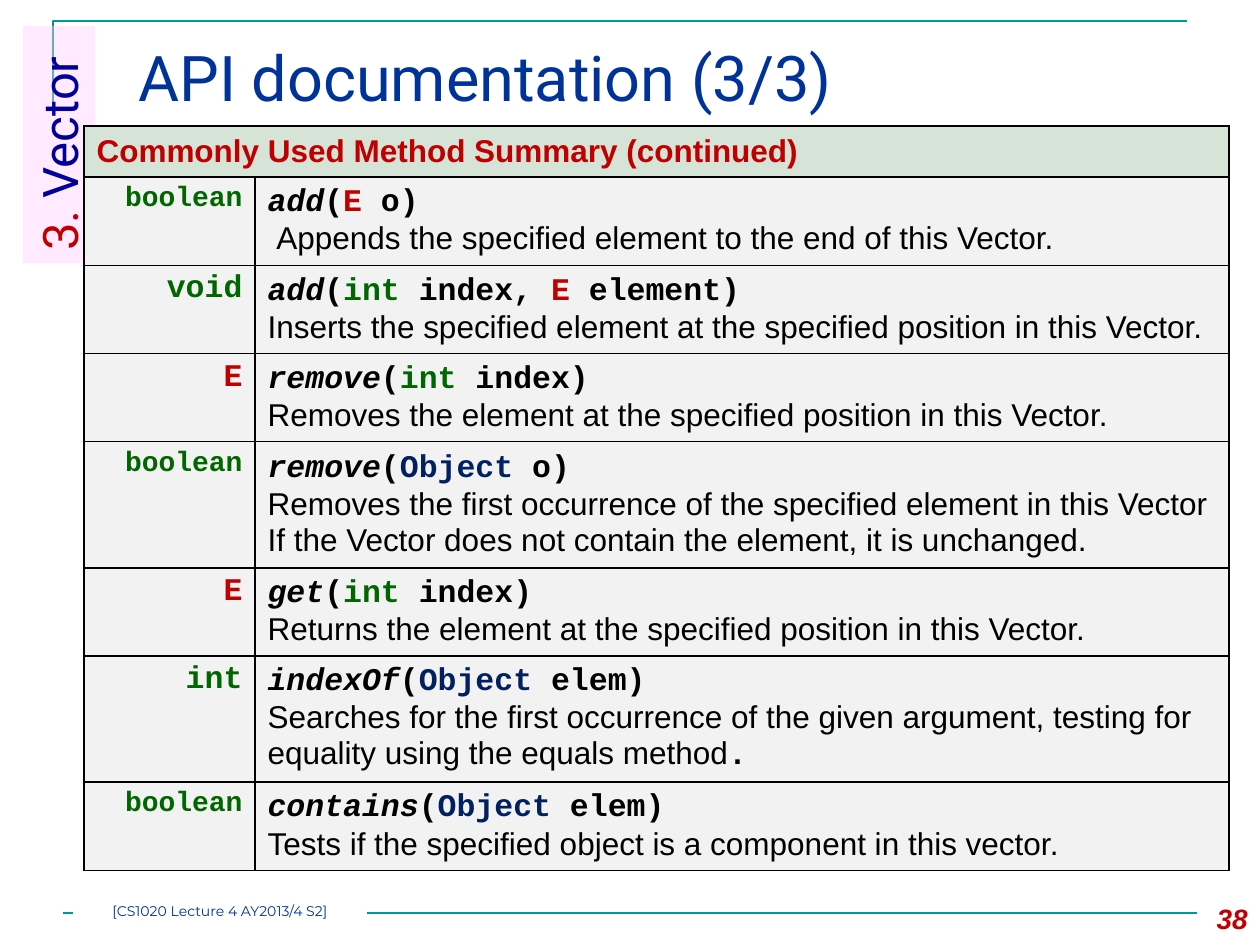
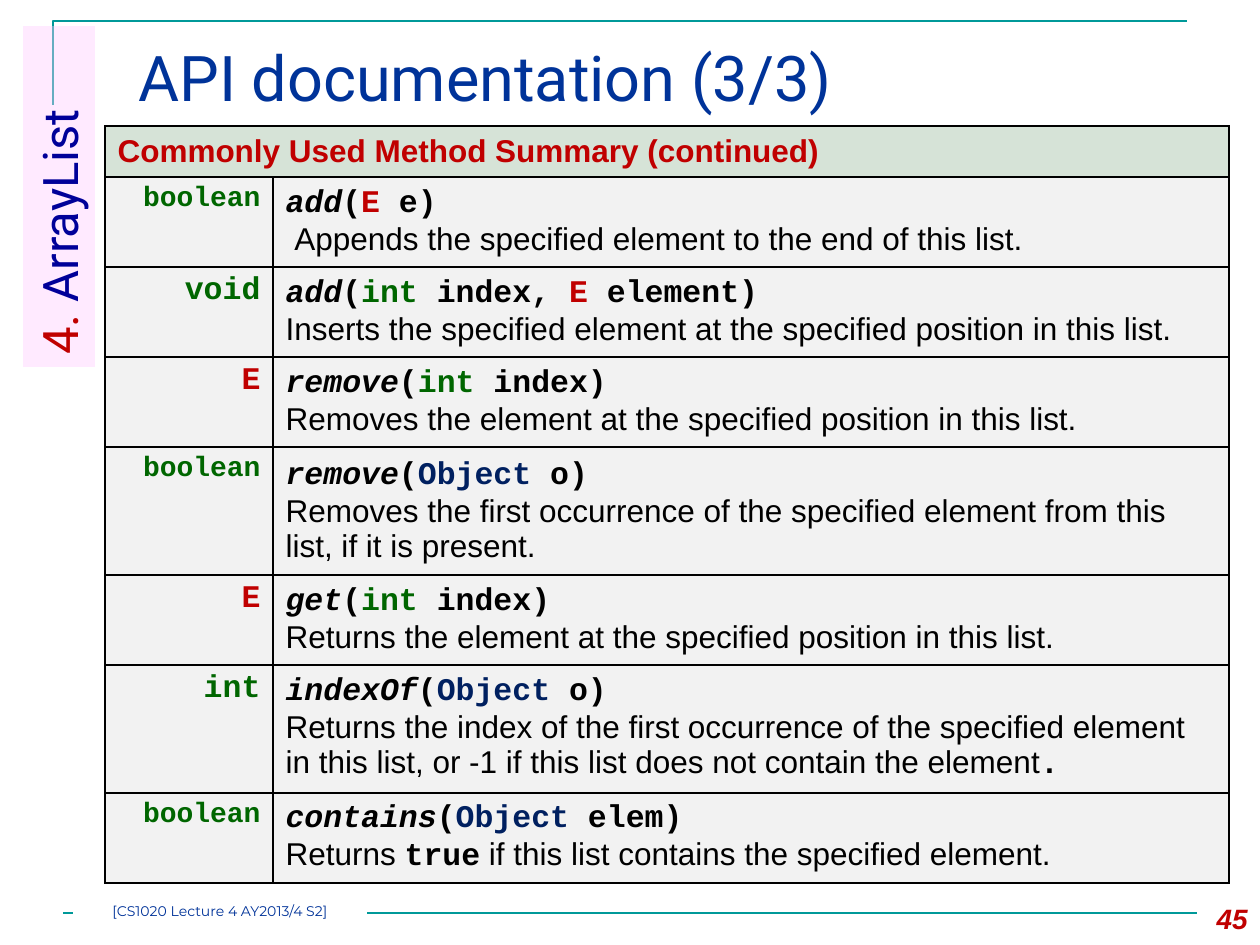
"""Build two API documentation slides with method summary tables."""
from lxml import etree
from pptx import Presentation
from pptx.dml.color import RGBColor
from pptx.enum.shapes import MSO_CONNECTOR, MSO_SHAPE
from pptx.enum.text import MSO_ANCHOR, PP_ALIGN
from pptx.oxml.ns import qn
from pptx.util import Pt

PX = 914400 / 126
RECTANGLE, STRAIGHT = MSO_SHAPE.RECTANGLE, MSO_CONNECTOR.STRAIGHT
TOP, MIDDLE = MSO_ANCHOR.TOP, MSO_ANCHOR.MIDDLE
LEFT, CENTER, RIGHT = PP_ALIGN.LEFT, PP_ALIGN.CENTER, PP_ALIGN.RIGHT
COLORS = {
    "teal": "009999", "blue": "003399", "red": "C00000", "navy": "000099",
    "green": "006600", "class": "002060", "black": "000000", "white": "FFFFFF",
    "pink": "FFCCFF", "header": "D6E3D7", "row": "F2F2F2",
}
RGB = {name: RGBColor.from_string(value) for name, value in COLORS.items()}
TYPE_COLORS = {"E": "red", "Object": "class"}

TITLE = {"name": "Roboto", "size": Pt(36)}
TAB = {"name": "Roboto", "size": Pt(28)}
FOOTER = {"name": "Montserrat", "size": Pt(8)}
PAGE = {"name": "Arial", "size": Pt(16), "bold": True, "italic": True}
HEADING = {"name": "Arial", "size": Pt(18), "bold": True}
PROSE = {"name": "Arial", "size": Pt(18), "bold": False}
CODE = {"name": "Courier New", "size": Pt(18), "bold": True}
METHOD = {**CODE, "italic": True}
LONG_TYPE = {**CODE, "size": Pt(16)}

SECTIONS = [
    {
        "number": "3.", "topic": "Vector", "page": "38", "tab_length": 237,
        "left": 84, "columns": (171, 974), "short_row": 88, "tall_row": 126,
        "methods": [
            ("boolean", "add", "E o",
             "\N{NO-BREAK SPACE}Appends the specified element to the end of this Vector."),
            ("void", "add", "int index, E element",
             "Inserts the specified element at the specified position in this Vector."),
            ("E", "remove", "int index",
             "Removes the element at the specified position in this Vector."),
            ("boolean", "remove", "Object o",
             "Removes the first occurrence of the specified element in this Vector "
             "If the Vector does not contain the element, it is unchanged."),
            ("E", "get", "int index",
             "Returns the element at the specified position in this Vector."),
            ("int", "indexOf", "Object elem",
             "Searches for the first occurrence of the given argument, testing for "
             "equality using the equals method`.`"),
            ("boolean", "contains", "Object elem",
             "Tests if the specified object is a component in this vector."),
        ],
    },
    {
        "number": "4.", "topic": "ArrayList", "page": "45", "tab_length": 341,
        "left": 105, "columns": (168, 956), "short_row": 90, "tall_row": 128,
        "methods": [
            ("boolean", "add", "E e",
             "\N{NO-BREAK SPACE}Appends the specified element to the end of this list."),
            ("void", "add", "int index, E element",
             "Inserts the specified element at the specified position in this list."),
            ("E", "remove", "int index",
             "Removes the element at the specified position in this list."),
            ("boolean", "remove", "Object o",
             "Removes the first occurrence of the specified element from this list, "
             "if it is present."),
            ("E", "get", "int index",
             "Returns the element at the specified position in this list."),
            ("int", "indexOf", "Object o",
             "Returns the index of the first occurrence of the specified element "
             "in this list, or -1 if this list does not contain the element`.`"),
            ("boolean", "contains", "Object elem",
             "Returns `true` if this list contains the specified element."),
        ],
    },
]


def px(*lengths):
    return [round(length * PX) for length in lengths]


def add_run(paragraph, text, style, color):
    run = paragraph.add_run()
    run.text = text
    for attribute, value in style.items():
        setattr(run.font, attribute, value)
    run.font.color.rgb = RGB[color]


deck = Presentation()
deck.slide_width, deck.slide_height = px(1260, 945)

for section in SECTIONS:
    slide = deck.slides.add_slide(deck.slide_layouts[6])
    shapes = slide.shapes

    outline = shapes.build_freeform(53, 105, scale=PX)
    outline.add_line_segments([(53, 21), (1187, 21)], close=False)
    corner = outline.convert_to_shape()
    corner.shadow.inherit = False
    corner.fill.background()
    rule = shapes.add_connector(STRAIGHT, *px(63, 913, 1197, 913))
    etree.SubElement(rule._element.spPr, qn("a:effectLst"))
    for stroke in (corner.line, rule.line):
        stroke.color.rgb = RGB["teal"]
        stroke.width = Pt(1.5)

    length = section["tab_length"]
    tab_left, tab_top = 59 - length / 2, 26 + length / 2 - 36
    boxes = [
        ((126, 32, 1071, 108), None, LEFT, 0,
         [("API documentation (3/3)", TITLE, "blue")]),
        ((1176, 895, 84, 50), None, RIGHT, 0, [(section["page"], PAGE, "red")]),
        ((73, 903, 294, 21), "white", CENTER, 0,
         [("[CS1020 Lecture 4 AY2013/4 S2]", FOOTER, "blue")]),
        ((tab_left, tab_top, length, 72), "pink", LEFT, 270,
         [(section["number"], TAB, "red"), (" " + section["topic"], TAB, "navy")]),
    ]
    for place, fill, alignment, rotation, runs in boxes:
        if fill:
            box = shapes.add_shape(RECTANGLE, *px(*place))
            box.shadow.inherit = False
            box.fill.solid()
            box.fill.fore_color.rgb = RGB[fill]
            box.line.fill.background()
        else:
            box = shapes.add_textbox(*px(*place))
        box.rotation = rotation
        frame = box.text_frame
        frame.word_wrap = True
        frame.vertical_anchor = TOP
        if fill == "white":
            for side in ("left", "top", "right", "bottom"):
                setattr(frame, f"margin_{side}", 0)
        if fill == "pink":
            tint = box._element.spPr.find(qn("a:solidFill"))[0]
            etree.SubElement(tint, qn("a:alpha"), val="40000")
        paragraph = frame.paragraphs[0]
        paragraph.alignment = alignment
        for text, style, color in runs:
            add_run(paragraph, text, style, color)

    methods = section["methods"]
    heights = [51] + [
        section["tall_row" if method in ("remove", "indexOf") and "Object" in parameters
                else "short_row"]
        for _, method, parameters, _ in methods
    ]
    columns = section["columns"]
    summary = shapes.add_table(
        len(heights), 2, *px(section["left"], 126, sum(columns), sum(heights))).table
    summary.first_row = summary.horz_banding = False
    for column, width in zip(summary.columns, px(*columns)):
        column.width = width
    for row, height in zip(summary.rows, px(*heights)):
        row.height = height

    for row_index, row in enumerate(summary.rows):
        for column_index, cell in enumerate(row.cells):
            properties = cell._tc.get_or_add_tcPr()
            for edge in ("a:lnL", "a:lnR", "a:lnT", "a:lnB"):
                border = etree.SubElement(properties, qn(edge), w="12700")
                ink = etree.SubElement(border, qn("a:solidFill"))
                etree.SubElement(ink, qn("a:srgbClr"), val=COLORS["black"])
            cell.fill.solid()
            cell.fill.fore_color.rgb = RGB["row" if row_index else "header"]
            cell.vertical_anchor = TOP if row_index and not column_index else MIDDLE

    heading = summary.cell(0, 0)
    heading.merge(summary.cell(0, 1))
    add_run(heading.text_frame.paragraphs[0],
            "Commonly Used Method Summary (continued)", HEADING, "red")

    for row_index, (result, method, parameters, description) in enumerate(methods, 1):
        returned, signature = [
            cell.text_frame.paragraphs[0] for cell in summary.rows[row_index].cells]
        returned.alignment = RIGHT
        add_run(returned, result, LONG_TYPE if result == "boolean" else CODE,
                TYPE_COLORS.get(result, "green"))

        add_run(signature, method, METHOD, "black")
        add_run(signature, "(", CODE, "black")
        for position, parameter in enumerate(parameters.split(", ")):
            kind, name = parameter.split()
            if position:
                add_run(signature, ", ", CODE, "black")
            add_run(signature, kind + " ", CODE, TYPE_COLORS.get(kind, "green"))
            add_run(signature, name, CODE, "black")
        add_run(signature, ")", CODE, "black")
        signature.add_line_break()
        for position, part in enumerate(description.split("`")):
            if part:
                add_run(signature, part, CODE if position % 2 else PROSE, "black")

deck.save("out.pptx")
